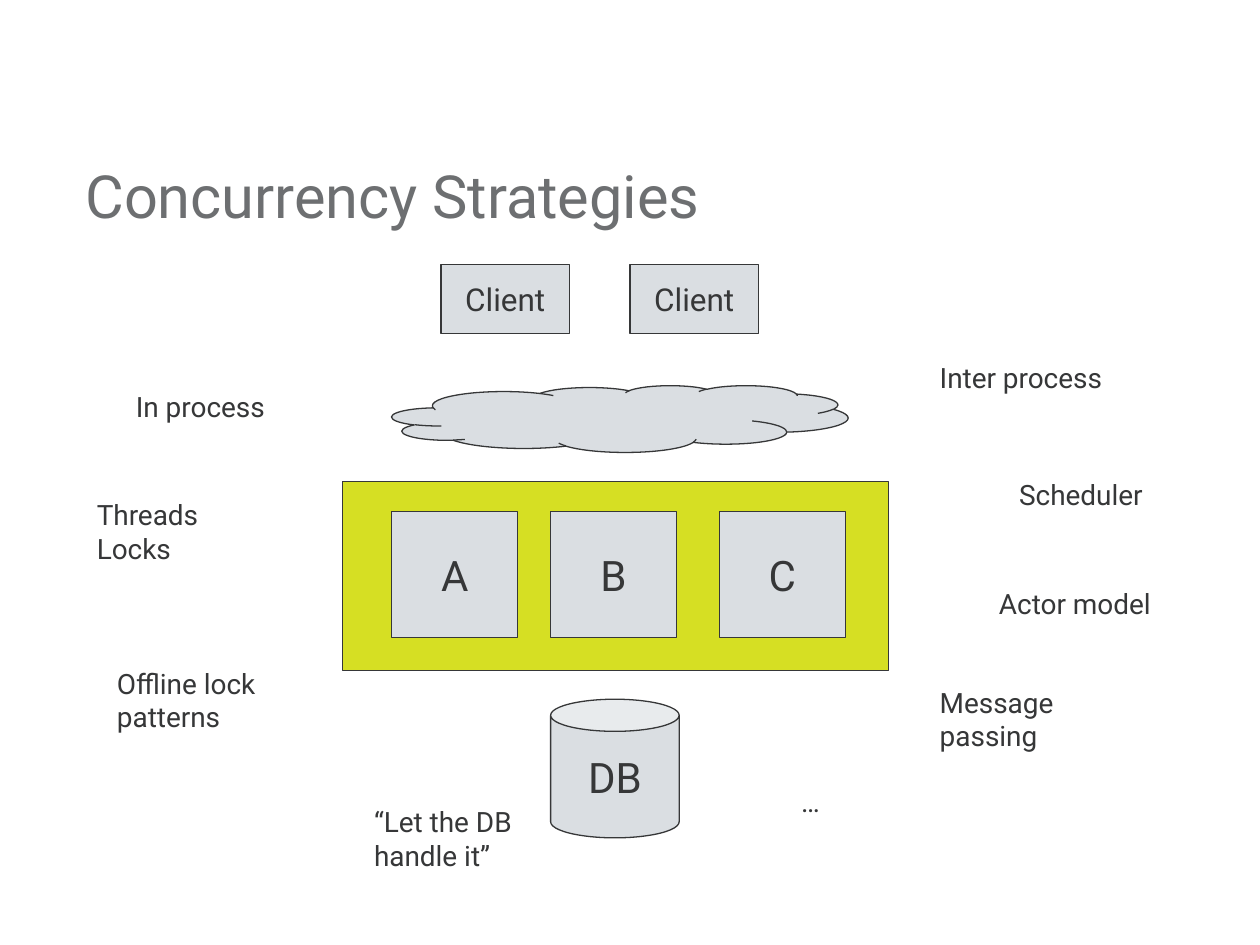
from pptx import Presentation
from pptx.dml.color import RGBColor
from pptx.enum.shapes import MSO_SHAPE
from pptx.enum.text import MSO_ANCHOR, PP_ALIGN
from pptx.util import Inches, Pt

RECT, CLOUD, CAN = MSO_SHAPE.RECTANGLE, MSO_SHAPE.CLOUD, MSO_SHAPE.CAN
TOP, MIDDLE = MSO_ANCHOR.TOP, MSO_ANCHOR.MIDDLE
LEFT, CENTER = PP_ALIGN.LEFT, PP_ALIGN.CENTER

WIDTH, HEIGHT = Inches(10), Inches(7.5)
COLUMN, ROW = WIDTH // 100, HEIGHT // 75
FONT = "Roboto"
COLORS = {"title": "6D6F71", "ink": "363738", "part": "DADEE2", "server": "D6DF23"}

NOTES = [
    ("In process", (9.8, 30.4, 15.7, 3.7)),
    ("Threads Locks", (6.7, 39, 12.6, 6.4)),
    ("Offline lock patterns", (8.3, 52.4, 18.1, 6.4)),
    ("“Let the DB handle it”", (28.7, 63.4, 18.1, 6.4)),
    ("Inter process", (73.6, 28.1, 15.7, 3.7)),
    ("Scheduler", (79.9, 37.4, 14.2, 3.7)),
    ("Actor model", (78.3, 46.1, 14.2, 3.7)),
    ("Message passing", (73.6, 53.9, 14.2, 6.4)),
    ("…", (62.6, 61.8, 14.2, 3.7)),
]


def place(box):
    """Turn a box in columns and rows into slide lengths."""
    x, y, w, h = box
    return [round(n) for n in (x * COLUMN, y * ROW, w * COLUMN, h * ROW)]


def write(sp, text, size=16, color="ink", align=LEFT, anchor=TOP):
    """Write one formatted paragraph into a shape."""
    tf = sp.text_frame
    tf.word_wrap = True
    tf.vertical_anchor = anchor
    p = tf.paragraphs[0]
    p.alignment = align
    r = p.add_run()
    r.text = text
    r.font.name = FONT
    r.font.size = Pt(size)
    r.font.color.rgb = RGBColor.from_string(COLORS[color])


def add_label(s, box, text, **fmt):
    """Add a text box."""
    write(s.shapes.add_textbox(*place(box)), text, **fmt)


def add_part(s, box, kind=RECT, fill="part", text="", size=24):
    """Add an outlined shape with an optional centred caption."""
    sp = s.shapes.add_shape(kind, *place(box))
    sp.shadow.inherit = False
    sp.fill.solid()
    sp.fill.fore_color.rgb = RGBColor.from_string(COLORS[fill])
    sp.line.color.rgb = RGBColor.from_string(COLORS["ink"])
    sp.line.width = Pt(0.75)
    if text:
        write(sp, text, size=size, align=CENTER, anchor=MIDDLE)


def draw_clients(s, box):
    """Place a client at each end of the box."""
    x, y, w, h = box
    client = 10.2
    for left in (x, x + w - client):
        add_part(s, (left, y, client, h), text="Client", size=18)


def draw_server(s, box):
    """Place the server frame and its three components."""
    x, y, w, h = box
    add_part(s, box, fill="server")
    for name, offset in (("A", 3.9), ("B", 16.5), ("C", 29.9)):
        add_part(s, (x + offset, y + 2.4, 10, 10), text=name)


def draw_notes(s, notes):
    """Place the strategy names around the diagram."""
    for text, box in notes:
        add_label(s, box, text)


def main():
    """Build and save the slide."""
    prs = Presentation()
    prs.slide_width, prs.slide_height = WIDTH, HEIGHT
    s = prs.slides.add_slide(prs.slide_layouts[6])
    add_label(s, (5.8, 11.7, 70, 7.5), "Concurrency Strategies",
              size=34, color="title", anchor=MIDDLE)
    draw_clients(s, (35, 21, 25.2, 5.5))
    add_part(s, (31.1, 30.6, 36.2, 5.3), kind=CLOUD)
    draw_server(s, (27.2, 38.2, 43.3, 15))
    add_part(s, (43.7, 55.5, 10.2, 11), kind=CAN, text="DB")
    draw_notes(s, NOTES)
    prs.save("out.pptx")


if __name__ == "__main__":
    main()
